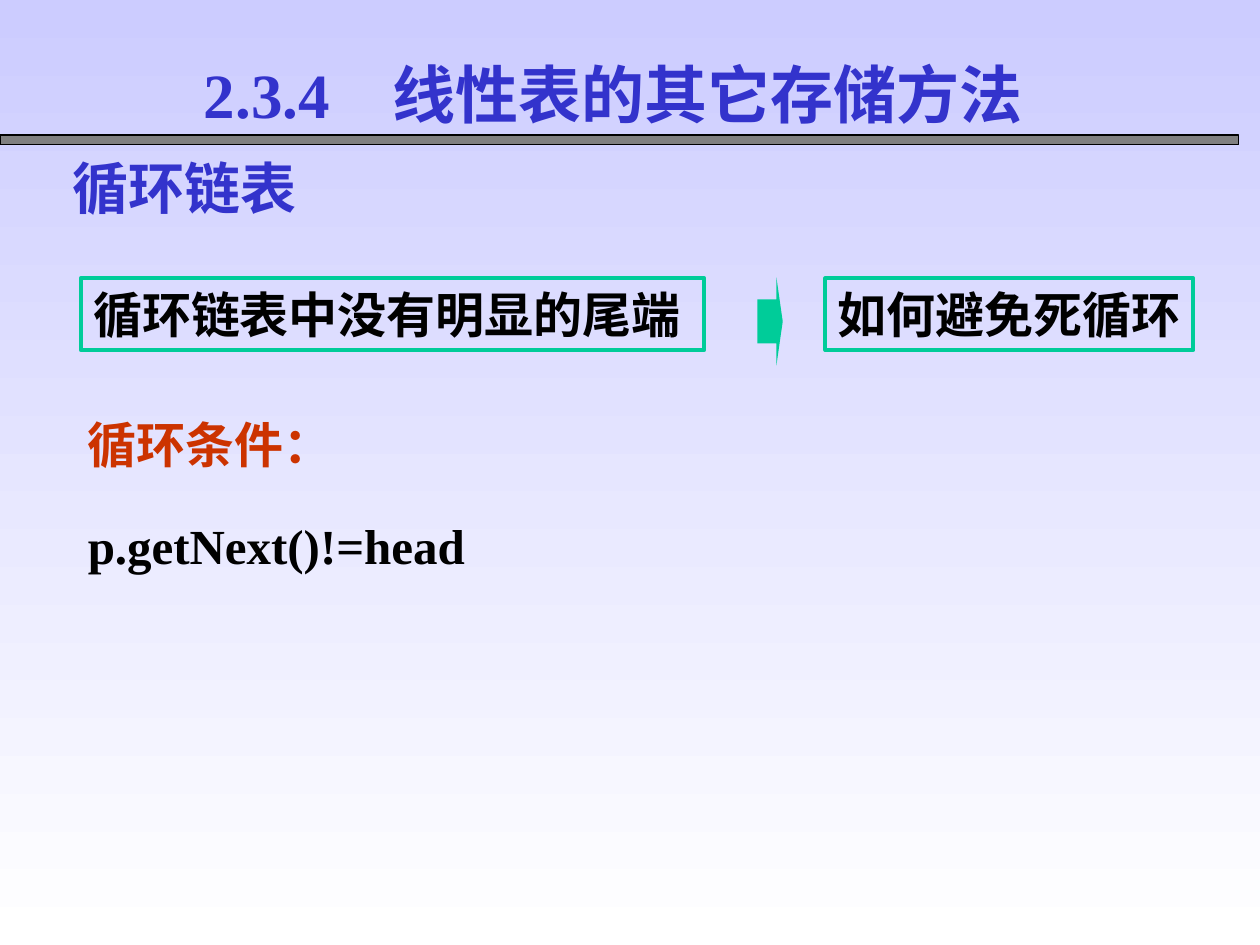
from lxml.etree import SubElement
from pptx import Presentation
from pptx.dml.color import RGBColor
from pptx.enum.shapes import MSO_SHAPE
from pptx.enum.text import MSO_ANCHOR, MSO_AUTO_SIZE, PP_ALIGN
from pptx.oxml.ns import qn
from pptx.util import Cm, Pt

COLOURS = {
    "sky": "CCCCFF", "white": "FFFFFF", "black": "000000", "grey": "808080",
    "blue": "3333CC", "red": "CC3300", "green": "00CC99", "shade": "808099",
}
CHINESE_FONT = "Noto Sans CJK SC"
LATIN_FONT = "Times New Roman"


def colour(name):
    return RGBColor.from_string(COLOURS[name])


def apply(target, values):
    for key, value in values.items():
        setattr(target, key, value)


def place(element, left, top, width, height):
    apply(element, {"left": Cm(left), "top": Cm(top),
                    "width": Cm(width), "height": Cm(height)})


def paint_background(slide):
    fill = slide.background.fill
    fill.gradient()
    fill.gradient_angle = 270
    for stop, name, position in zip(fill.gradient_stops, ("sky", "white"), (0, 1)):
        stop.color.rgb = colour(name)
        stop.position = position


def add_text_shadow(run):
    effects = SubElement(run.font._element, qn("a:effectLst"))
    shadow = SubElement(effects, qn("a:outerShdw"), dist="28398", dir="2700000")
    SubElement(shadow, qn("a:srgbClr"), val=COLOURS["shade"])


def write(paragraph, text, size, tint, font=LATIN_FONT, shadow=False, **spacing):
    apply(paragraph, {"alignment": PP_ALIGN.LEFT, **spacing})
    run = paragraph.add_run()
    run.text = text
    apply(run.font, {"size": Pt(size), "bold": True})
    run.font.color.rgb = colour(tint)
    if shadow:
        add_text_shadow(run)
    run.font.name = font
    SubElement(run.font._element, qn("a:ea"), typeface=CHINESE_FONT)


def set_frame(frame, **values):
    apply(frame, {"margin_left": Cm(0.25), "margin_right": Cm(0.25),
                  "margin_top": Cm(0.13), "margin_bottom": Cm(0.13),
                  "word_wrap": True, "vertical_anchor": MSO_ANCHOR.TOP,
                  "auto_size": MSO_AUTO_SIZE.SHAPE_TO_FIT_TEXT, **values})
    return frame


def add_title(slide, text):
    title = slide.shapes.title
    place(title, 3.86, 1.17, 17.58, 1.63)
    frame = set_frame(title.text_frame, vertical_anchor=MSO_ANCHOR.MIDDLE,
                      auto_size=MSO_AUTO_SIZE.NONE)
    write(frame.paragraphs[0], text, 36, "blue", shadow=True, line_spacing=0.9)


def add_text(slide, left, top, width, height):
    box = slide.shapes.add_textbox(Cm(left), Cm(top), Cm(width), Cm(height))
    return set_frame(box.text_frame)


def add_figure(slide, kind, bounds, fill=None, line=None, weight=0.75):
    figure = slide.shapes.add_shape(kind, *map(Cm, bounds))
    figure.shadow.inherit = False
    if fill:
        figure.fill.solid()
        figure.fill.fore_color.rgb = colour(fill)
    else:
        figure.fill.background()
    if line:
        figure.line.color.rgb = colour(line)
        figure.line.width = Pt(weight)
    else:
        figure.line.fill.background()
    return figure


def add_statement(slide, text, left, width):
    box = add_figure(slide, MSO_SHAPE.RECTANGLE, (left, 5.61, width, 1.45),
                     line="green", weight=2.25)
    frame = set_frame(box.text_frame, word_wrap=False,
                      vertical_anchor=MSO_ANCHOR.MIDDLE)
    write(frame.paragraphs[0], text, 28, "black", CHINESE_FONT)


def main():
    presentation = Presentation()
    apply(presentation, {"slide_width": Cm(25.4), "slide_height": Cm(19.05)})
    slide = presentation.slides.add_slide(presentation.slide_layouts[5])
    paint_background(slide)
    add_figure(slide, MSO_SHAPE.RECTANGLE, (0, 2.72, 24.97, 0.2), "grey", "black")
    add_title(slide, "2.3.4　线性表的其它存储方法")

    condition = add_text(slide, 1.52, 7.98, 22.02, 3.73)
    write(condition.paragraphs[0], "循环条件：", 28, "red", line_spacing=1.2)
    write(condition.add_paragraph(), "p.getNext()!=head", 28, "black",
          line_spacing=1.2, space_before=Pt(17.5))

    heading = add_text(slide, 1.22, 2.97, 12.5, 1.63)
    write(heading.paragraphs[0], "循环链表", 32, "blue", "Arial", shadow=True)

    add_statement(slide, "循环链表中没有明显的尾端", 1.63, 12.57)
    arrow = add_figure(slide, MSO_SHAPE.RIGHT_ARROW, (15.27, 5.59, 0.51, 1.78), "green")
    arrow.adjustments[1] = 0.25
    add_statement(slide, "如何避免死循环", 16.64, 7.42)
    presentation.save("out.pptx")


if __name__ == "__main__":
    main()
